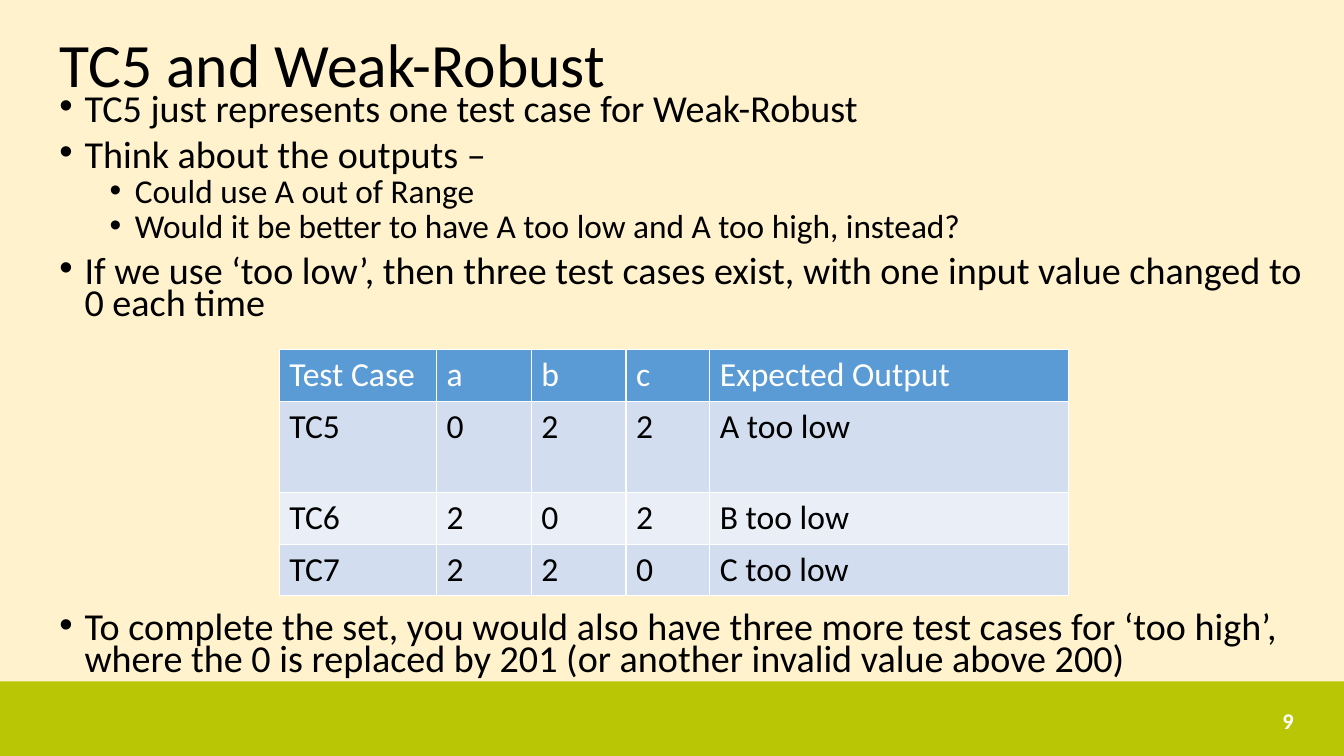
from dataclasses import dataclass

from lxml import etree
from pptx import Presentation
from pptx import util as u
from pptx.dml.color import RGBColor
from pptx.enum import shapes, text
from pptx.oxml.ns import qn


@dataclass(frozen=True)
class Theme:
    font: str = "Calibri"
    page: str = "FFF2CC"
    band: str = "B8C605"
    ink: str = "000000"
    white: str = "FFFFFF"
    header: str = "5B9BD5"
    stripes: tuple = ("D2DEEF", "EAEFF7")
    title_size: float = 44
    bullet_sizes: tuple = (27.2, 23.8)
    bullet_gaps: tuple = (10, 5)
    table_size: float = 24
    number_size: float = 16


THEME = Theme()
INTRO = [
    (0, "TC5 just represents one test case for Weak-Robust"),
    (0, "Think about the outputs –"),
    (1, "Could use A out of Range"),
    (1, "Would it be better to have A too low and A too high, instead?"),
    (0, "If we use ‘too low’, then three test cases exist, with one input value changed to 0 each time"),
]
CLOSING = [
    (0, "To complete the set, you would also have three more test cases for ‘too high’, "
        "where the 0 is replaced by 201 (or another invalid value above 200)"),
]
TEST_CASES = [
    ("Test Case", "a", "b", "c", "Expected Output"),
    ("TC5", "0", "2", "2", "A too low"),
    ("TC6", "2", "0", "2", "B too low"),
    ("TC7", "2", "2", "0", "C too low"),
]
COLUMN_WIDTHS = (1.56, 0.94, 0.94, 0.83, 3.56)
ROW_HEIGHTS = (0.51, 0.91, 0.51, 0.51)


def inches(*lengths):
    return [u.Inches(length) for length in lengths]


def format_para(para, size, color, bold=False):
    for span in para.runs:
        span.font.name = THEME.font
        span.font.size = u.Pt(size)
        span.font.bold = bold
        span.font.color.rgb = RGBColor.from_string(color)


def add_title(page, box, wording):
    title = page.shapes.title
    title.left, title.top, title.width, title.height = inches(*box)
    frame = title.text_frame
    frame.text = wording
    frame.word_wrap = True
    frame.auto_size = text.MSO_AUTO_SIZE.NONE
    frame.vertical_anchor = text.MSO_ANCHOR.MIDDLE
    para = frame.paragraphs[0]
    para.alignment = text.PP_ALIGN.LEFT
    para.line_spacing = 0.9
    format_para(para, THEME.title_size, THEME.ink)


def add_bullets(page, box, items):
    frame = page.shapes.add_textbox(*inches(*box)).text_frame
    frame.word_wrap = True
    frame.text = "\n".join(wording for _, wording in items)
    for para, (level, _) in zip(frame.paragraphs, items):
        para.level = level
        para.line_spacing = 0.7
        para.space_before = u.Pt(THEME.bullet_gaps[level])
        format_para(para, THEME.bullet_sizes[level], THEME.ink)
        properties = para._p.get_or_add_pPr()
        properties.set("marL", str(u.Inches(0.25 + 0.5 * level)))
        properties.set("indent", str(u.Inches(-0.25)))
        etree.SubElement(properties, qn("a:buFont"), typeface="Arial")
        etree.SubElement(properties, qn("a:buChar"), char="•")


def add_borders(cell):
    properties = cell._tc.get_or_add_tcPr()
    for side in ("lnL", "lnR", "lnT", "lnB"):
        line = etree.SubElement(properties, qn(f"a:{side}"), w=str(u.Pt(1)))
        fill = etree.SubElement(line, qn("a:solidFill"))
        etree.SubElement(fill, qn("a:srgbClr"), val=THEME.white)


def add_test_cases(page, box):
    frame = page.shapes.add_table(len(TEST_CASES), len(COLUMN_WIDTHS), *inches(*box))
    table = frame.table
    for column, width in zip(table.columns, COLUMN_WIDTHS):
        column.width = u.Inches(width)
    for index, (row, values) in enumerate(zip(table.rows, TEST_CASES)):
        row.height = u.Inches(ROW_HEIGHTS[index])
        is_header = index == 0
        fill = THEME.header if is_header else THEME.stripes[(index - 1) % 2]
        color = THEME.white if is_header else THEME.ink
        for cell, value in zip(row.cells, values):
            cell.text = value
            format_para(cell.text_frame.paragraphs[0], THEME.table_size, color)
            add_borders(cell)
            cell.fill.solid()
            cell.fill.fore_color.rgb = RGBColor.from_string(fill)


def add_footer(page, box, number):
    left, top, width, height = box
    band = page.shapes.add_shape(shapes.MSO_SHAPE.RECTANGLE, *inches(*box))
    band.shadow.inherit = False
    band.fill.solid()
    band.fill.fore_color.rgb = RGBColor.from_string(THEME.band)
    band.line.fill.background()
    number_box = inches(left + width - 3.91, top + 0.19, 3.51, 0.4)
    frame = page.shapes.add_textbox(*number_box).text_frame
    frame.word_wrap = True
    frame.vertical_anchor = text.MSO_ANCHOR.MIDDLE
    frame.text = number
    para = frame.paragraphs[0]
    para.alignment = text.PP_ALIGN.RIGHT
    format_para(para, THEME.number_size, THEME.white, bold=True)


def build_weak_robust_slide(deck):
    page = deck.slides.add_slide(deck.slide_layouts[5])
    page.background.fill.solid()
    page.background.fill.fore_color.rgb = RGBColor.from_string(THEME.page)
    add_footer(page, (0, 6.76, 13.33, 0.74), "9")
    add_title(page, (0.49, 0.27, 12.43, 0.81), "TC5 and Weak-Robust")
    add_bullets(page, (0.49, 0.91, 12.63, 2.4), INTRO)
    add_test_cases(page, (2.77, 3.47, sum(COLUMN_WIDTHS), sum(ROW_HEIGHTS)))
    add_bullets(page, (0.49, 6.05, 12.63, 0.78), CLOSING)


def main():
    deck = Presentation()
    deck.slide_width, deck.slide_height = inches(13.33, 7.5)
    build_weak_robust_slide(deck)
    deck.save("out.pptx")


if __name__ == "__main__":
    main()
